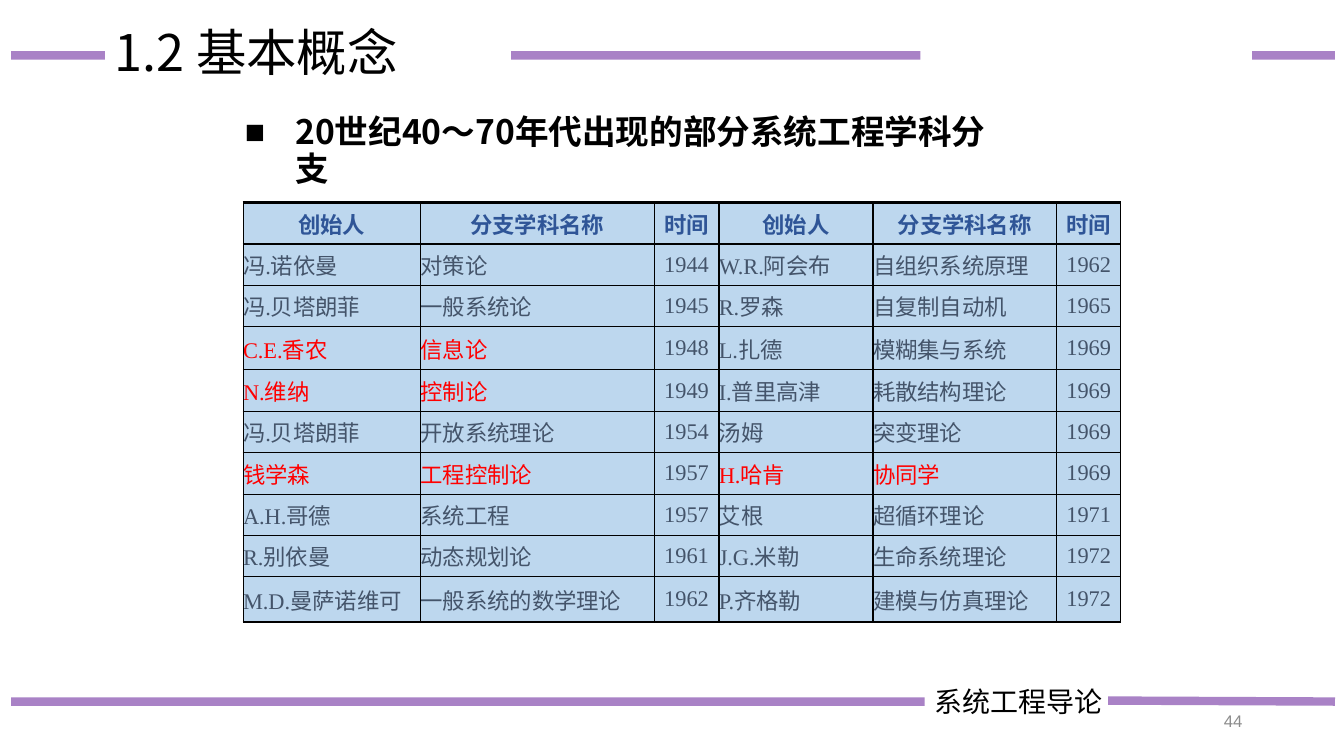
from dataclasses import dataclass
from typing import NamedTuple

from lxml.etree import SubElement
from pptx import Presentation
from pptx.dml.color import RGBColor
from pptx.enum.shapes import MSO_CONNECTOR
from pptx.enum.text import MSO_ANCHOR, PP_ALIGN
from pptx.oxml.ns import qn
from pptx.util import Emu, Inches, Pt

BLACK = RGBColor(0x00, 0x00, 0x00)
PURPLE = RGBColor(0x70, 0x30, 0xA0)
GRAY = RGBColor(0x8C, 0x8C, 0x8C)
SLATE = RGBColor(0x44, 0x54, 0x6A)
NAVY = RGBColor(0x2F, 0x55, 0x97)
RED = RGBColor(0xFF, 0x00, 0x00)
PALE_BLUE = RGBColor(0xBD, 0xD7, 0xEE)
SANS = "Noto Sans CJK SC"
SERIF = "Times New Roman"
WIDTH = Inches(13.33)
HEIGHT = Inches(7.5)


@dataclass(frozen=True)
class Rule:
    left: float
    right: float
    start: float
    end: float


class Area(NamedTuple):
    left: float
    top: float
    width: float
    height: float


class Branch(NamedTuple):
    founder: str
    name: str
    year: str
    notable: bool = False


RULES = [
    Rule(0.83, 68.79, 92.8, 92.8),
    Rule(82.45, 99.33, 92.67, 92.8),
    Rule(0.83, 7.8, 7.33, 7.33),
    Rule(93.17, 99.33, 7.33, 7.33),
    Rule(38.03, 68.49, 7.33, 7.33),
]
HEADER = Branch("创始人", "分支学科名称", "时间")
EARLIER = [
    Branch("冯.诺依曼", "对策论", "1944"),
    Branch("冯.贝塔朗菲", "一般系统论", "1945"),
    Branch("C.E.香农", "信息论", "1948", True),
    Branch("N.维纳", "控制论", "1949", True),
    Branch("冯.贝塔朗菲", "开放系统理论", "1954"),
    Branch("钱学森", "工程控制论", "1957", True),
    Branch("A.H.哥德", "系统工程", "1957"),
    Branch("R.别依曼", "动态规划论", "1961"),
    Branch("M.D.曼萨诺维可", "一般系统的数学理论", "1962"),
]
LATER = [
    Branch("W.R.阿会布", "自组织系统原理", "1962"),
    Branch("R.罗森", "自复制自动机", "1965"),
    Branch("L.扎德", "模糊集与系统", "1969"),
    Branch("I.普里高津", "耗散结构理论", "1969"),
    Branch("汤姆", "突变理论", "1969"),
    Branch("H.哈肯", "协同学", "1969", True),
    Branch("艾根", "超循环理论", "1971"),
    Branch("J.G.米勒", "生命系统理论", "1972"),
    Branch("P.齐格勒", "建模与仿真理论", "1972"),
]
TABLE_AREA = Area(18.08, 26.8, 65.33, 55.6)
COLUMN_SHARES = [13.2, 17.4, 4.8, 11.48, 13.65, 4.8]
ROW_SHARES = [5.47] * 3 + [5.73] + [5.47] * 5 + [6]
VERTICAL_BORDERS = [0.75, 1, 1, 2, 1, 1, 0.75]
HORIZONTAL_BORDERS = [2, 1] + [0.75] * 8 + [2]


def across(share: float) -> Emu:
    return Emu(round(WIDTH * share / 100))


def down(share: float) -> Emu:
    return Emu(round(HEIGHT * share / 100))


def place(area: Area) -> tuple:
    return across(area.left), down(area.top), across(area.width), down(area.height)


def write(frame, text: str, *, size: float, face: str = SANS, color: RGBColor = BLACK,
          bold: bool = False, align=PP_ALIGN.LEFT, anchor=MSO_ANCHOR.TOP,
          spacing: float = 1.0, bullet: str = "") -> None:
    frame.word_wrap = True
    frame.vertical_anchor = anchor
    para = frame.paragraphs[0]
    para.alignment = align
    para.line_spacing = spacing
    if bullet:
        properties = para._p.get_or_add_pPr()
        properties.set("marL", str(Inches(0.5)))
        properties.set("indent", str(Inches(-0.5)))
        SubElement(properties, qn("a:buFont"), typeface="Arial")
        SubElement(properties, qn("a:buChar"), char=bullet)
    span = para.add_run()
    span.text = text
    span.font.size = Pt(size)
    span.font.name = face
    span.font.bold = bold
    span.font.color.rgb = color
    SubElement(span._r.get_or_add_rPr(), qn("a:ea"), typeface=SANS)


def add_text(page, area: Area, text: str, **form) -> None:
    write(page.shapes.add_textbox(*place(area)).text_frame, text, **form)


def add_rule(page, rule: Rule) -> None:
    line = page.shapes.add_connector(
        MSO_CONNECTOR.STRAIGHT, across(rule.left), down(rule.start),
        across(rule.right), down(rule.end))
    line.line.width = Pt(6)
    line.line.color.rgb = PURPLE
    properties = line._element.spPr
    for color in properties.iter(qn("a:srgbClr")):
        SubElement(color, qn("a:alpha"), val="60000")
    SubElement(properties, qn("a:effectLst"))


def add_borders(cell, row: int, column: int) -> None:
    widths = {
        "a:lnL": VERTICAL_BORDERS[column],
        "a:lnR": VERTICAL_BORDERS[column + 1],
        "a:lnT": HORIZONTAL_BORDERS[row],
        "a:lnB": HORIZONTAL_BORDERS[row + 1],
    }
    properties = cell._tc.get_or_add_tcPr()
    for tag, width in widths.items():
        border = SubElement(properties, qn(tag), w=str(Pt(width)))
        fill = SubElement(border, qn("a:solidFill"))
        SubElement(fill, qn("a:srgbClr"), val=str(BLACK))


def fill_cell(cell, row: int, column: int, branch: Branch) -> None:
    field = column % 3
    is_header = row == 0
    is_year = field == 2
    color = NAVY if is_header else RED if branch.notable and not is_year else SLATE
    cell.margin_left = cell.margin_right = cell.margin_top = cell.margin_bottom = 0
    add_borders(cell, row, column)
    cell.fill.solid()
    cell.fill.fore_color.rgb = PALE_BLUE
    cell.vertical_anchor = MSO_ANCHOR.MIDDLE
    write(cell.text_frame, branch[field], size=16, face=SERIF, color=color, bold=is_header,
          align=PP_ALIGN.CENTER if is_header or is_year else PP_ALIGN.LEFT)


def add_branch_table(page) -> None:
    pairs = [(HEADER, HEADER), *zip(EARLIER, LATER)]
    table = page.shapes.add_table(len(pairs), len(COLUMN_SHARES), *place(TABLE_AREA)).table
    table.first_row = False
    table.horz_banding = False
    for column, share in zip(table.columns, COLUMN_SHARES):
        column.width = across(share)
    for row, share in zip(table.rows, ROW_SHARES):
        row.height = down(share)
    for row, pair in enumerate(pairs):
        for column in range(len(COLUMN_SHARES)):
            fill_cell(table.cell(row, column), row, column, pair[column // 3])


def main() -> None:
    deck = Presentation()
    deck.slide_width = WIDTH
    deck.slide_height = HEIGHT
    page = deck.slides.add_slide(deck.slide_layouts[6])
    for rule in RULES:
        add_rule(page, rule)
    add_text(page, Area(68.79, 89.87, 18.83, 5.87), "系统工程导论", size=20)
    add_text(page, Area(7.8, -2.4, 86.27, 19.33), "1.2 基本概念", size=36,
             anchor=MSO_ANCHOR.MIDDLE, spacing=0.9)
    add_text(page, Area(70.67, 92.67, 22.51, 5.33), "44", size=12, face="Arial",
             color=GRAY, align=PP_ALIGN.RIGHT, anchor=MSO_ANCHOR.MIDDLE)
    add_text(page, Area(17.48, 14.67, 58.66, 6.13), "20世纪40～70年代出现的部分系统工程学科分支",
             size=24, bold=True, spacing=0.9, bullet="■")
    add_branch_table(page)
    deck.save("out.pptx")


if __name__ == "__main__":
    main()
